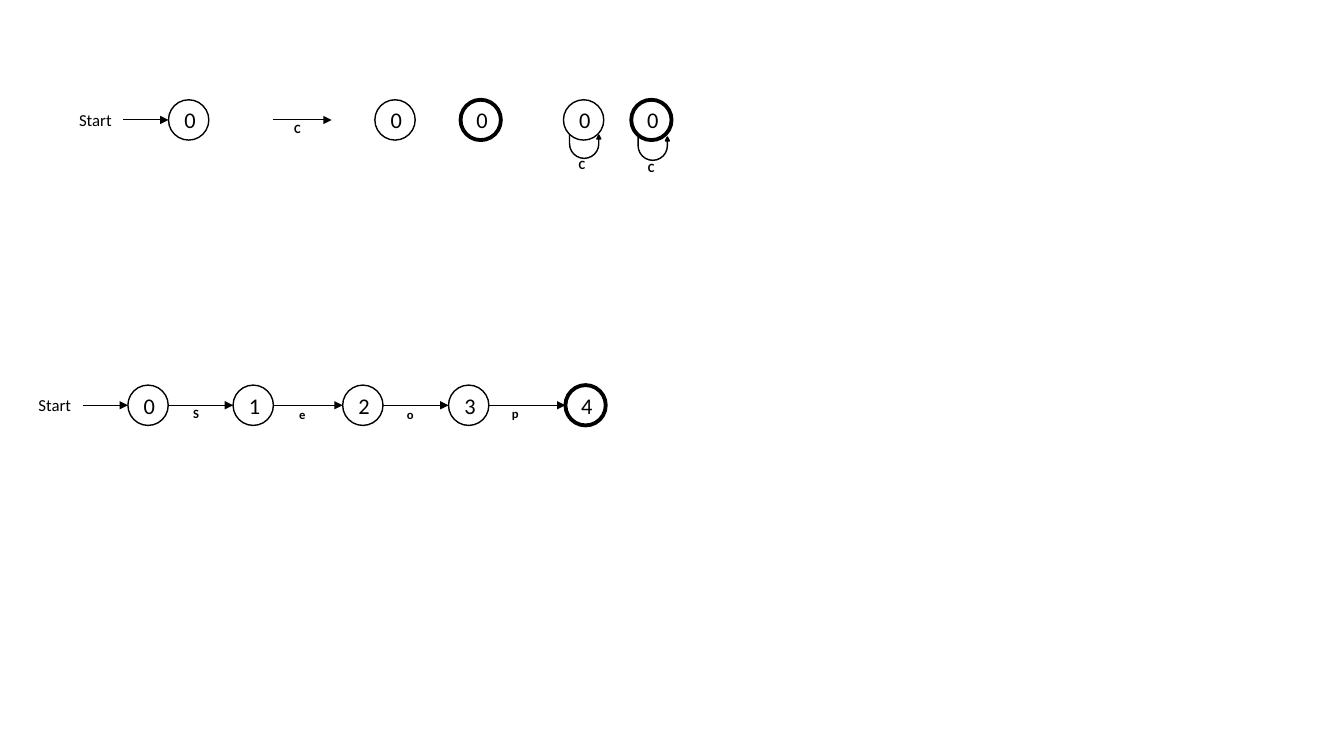
from lxml import etree
from pptx import Presentation, util as u
from pptx.dml.color import RGBColor
from pptx.enum import shapes, text
from pptx.oxml.ns import qn

Pt = u.Pt
BLACK = "000000"
DIAMETER = 28.8
THIN, THICK = 1, 2.75
START_LENGTH = 32.4
LABEL_W, LABEL_H = 12, 18

# Legend of notation: (state, left, outline) on the centre line LEGEND_Y
LEGEND_Y = 85.7
LEGEND_STATES = [("0", 120.4, THIN), ("0", 267.8, THIN), ("0", 329, THICK)]
LEGEND_ARROW = ("C", 195.1, 236.9, 212.4, -2.9)
# (state, left, outline, loop dx, loop dy, label, label centre, label dy)
LEGEND_LOOPS = [
    ("0", 402.5, THIN, 4.3, 25.2, "C", 415.6, 23),
    ("0", 450.9, THICK, 4.9, 26.6, "C", 465.2, 25.2),
]

# Automaton that reads one letter per transition
CHAIN_Y = 289.5
CHAIN_STATES = [("0", 91.4, THIN), ("1", 166.5, THIN), ("2", 244.8, THIN),
                ("3", 320.4, THIN), ("4", 403.9, THICK)]
# (letter, label centre, label dy)
CHAIN_LETTERS = [("S", 140, -2.9), ("e", 216, -2.2),
                 ("o", 293, -2.2), ("p", 368, -2.9)]

prs = Presentation()
prs.slide_width, prs.slide_height = Pt(960), Pt(540)
s = prs.slides.add_slide(prs.slide_layouts[6])


def rgb(value):
    return RGBColor.from_string(value)


def write(sp, content, size, bold=False, align=text.PP_ALIGN.CENTER, **frame):
    tf = sp.text_frame
    for name, value in frame.items():
        setattr(tf, name, value)
    p = tf.paragraphs[0]
    p.alignment = align
    r = p.add_run()
    r.text = content
    for name, value in {"name": "Calibri", "size": Pt(size), "bold": bold}.items():
        setattr(r.font, name, value)
    r.font.color.rgb = rgb(BLACK)


def outline(sp, width):
    sp.shadow.inherit = False
    sp.line.color.rgb = rgb(BLACK)
    sp.line.width = Pt(width)


def state(name, left, width, y):
    sp = s.shapes.add_shape(shapes.MSO_SHAPE.OVAL, Pt(left), Pt(y - DIAMETER / 2),
                            Pt(DIAMETER), Pt(DIAMETER))
    sp.fill.background()
    outline(sp, width)
    write(sp, name, 16, vertical_anchor=text.MSO_ANCHOR.MIDDLE)


def arrow(x1, x2, y):
    line = s.shapes.add_connector(shapes.MSO_CONNECTOR.STRAIGHT,
                                  Pt(x1), Pt(y), Pt(x2), Pt(y))
    line.line.color.rgb = rgb(BLACK)
    line.line.width = Pt(0.75)
    etree.SubElement(line.line._get_or_add_ln(), qn("a:tailEnd"), type="triangle")
    etree.SubElement(line._element.spPr, qn("a:effectLst"))


def label(content, centre, top):
    sp = s.shapes.add_textbox(Pt(centre - LABEL_W / 2), Pt(top),
                              Pt(LABEL_W), Pt(LABEL_H))
    write(sp, content, 9, bold=True, word_wrap=True, margin_left=0, margin_right=0)


def start(state_left, y):
    sp = s.shapes.add_textbox(Pt(state_left - 71), Pt(y - 10.8), Pt(38.2), Pt(21.6))
    write(sp, "Start", 12, align=text.PP_ALIGN.LEFT, word_wrap=False)
    arrow(state_left - START_LENGTH, state_left, y)


def loop(left, top):
    sp = s.shapes.add_shape(shapes.MSO_SHAPE.U_TURN_ARROW,
                            Pt(left), Pt(top), Pt(22.3), Pt(16.6))
    for i, value in enumerate((0, 0.085, 0.164, 0.717, 1)):
        sp.adjustments[i] = value
    sp.rotation = 180
    sp._element.spPr.find(qn("a:xfrm")).set("flipH", "1")
    sp.fill.solid()
    sp.fill.fore_color.rgb = rgb(BLACK)
    outline(sp, THIN)


# Legend
start(LEGEND_STATES[0][1], LEGEND_Y)
for item in LEGEND_STATES:
    state(*item, LEGEND_Y)
letter, x1, x2, centre, dy = LEGEND_ARROW
arrow(x1, x2, LEGEND_Y)
label(letter, centre, LEGEND_Y + dy)
for name, left, width, dx, loop_dy, letter, centre, dy in LEGEND_LOOPS:
    state(name, left, width, LEGEND_Y)
    loop(left + dx, LEGEND_Y - DIAMETER / 2 + loop_dy)
    label(letter, centre, LEGEND_Y + dy)

# Automaton
start(CHAIN_STATES[0][1], CHAIN_Y)
for item in CHAIN_STATES:
    state(*item, CHAIN_Y)
for here, there, (letter, centre, dy) in zip(CHAIN_STATES, CHAIN_STATES[1:], CHAIN_LETTERS):
    arrow(here[1] + DIAMETER, there[1], CHAIN_Y)
    label(letter, centre, CHAIN_Y + dy)

prs.save("out.pptx")
